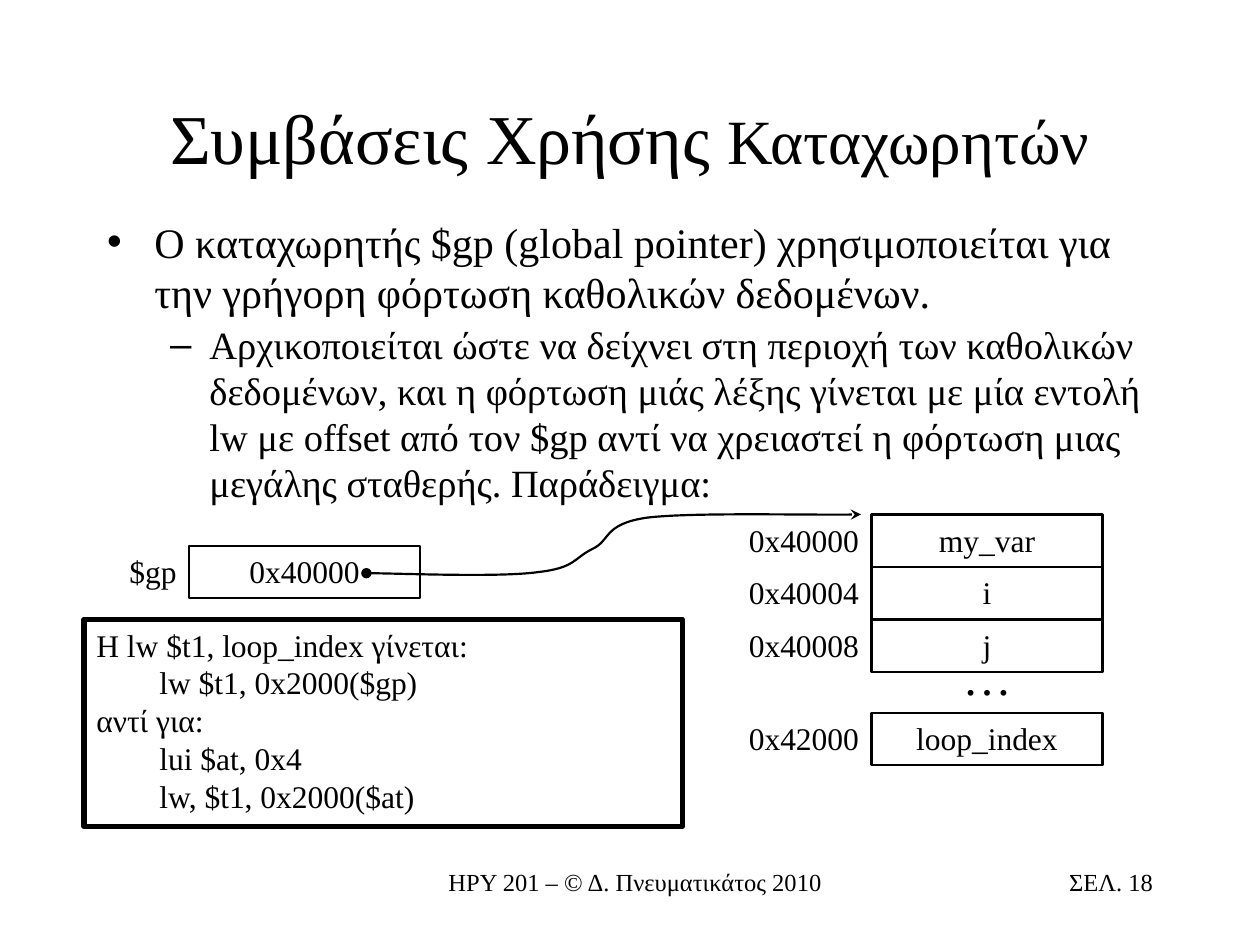
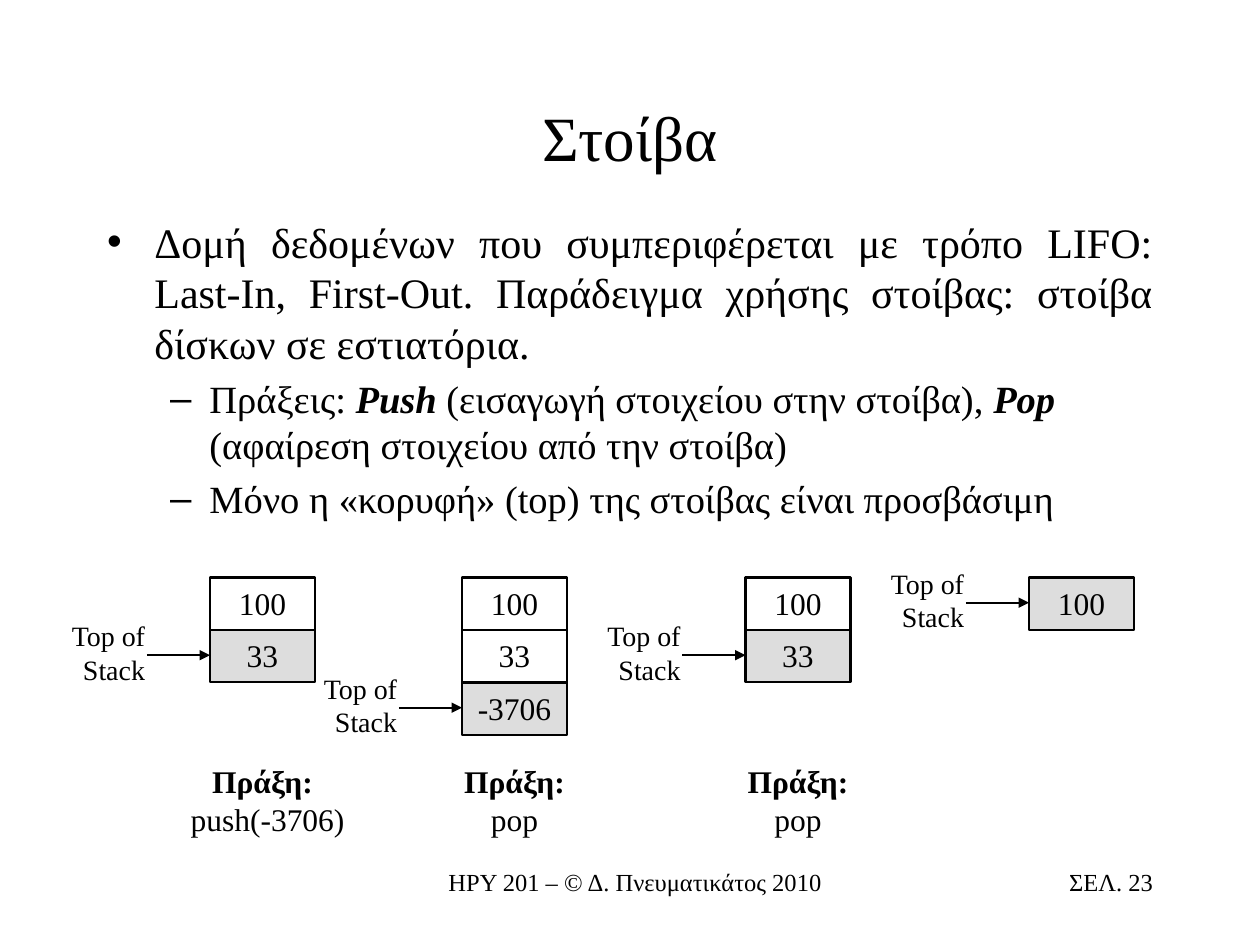
from dataclasses import dataclass, field
from typing import Any

from pptx import Presentation
from pptx.dml.color import RGBColor
from pptx.enum.shapes import MSO_CONNECTOR, MSO_SHAPE
from pptx.enum.text import MSO_ANCHOR, MSO_AUTO_SIZE, PP_ALIGN
from pptx.oxml.ns import qn
from pptx.oxml.xmlchemy import OxmlElement
from pptx.util import Inches, Pt

LEFT, CENTER, RIGHT, JUSTIFY = PP_ALIGN.LEFT, PP_ALIGN.CENTER, PP_ALIGN.RIGHT, PP_ALIGN.JUSTIFY
TOP, MIDDLE = MSO_ANCHOR.TOP, MSO_ANCHOR.MIDDLE
NO_FIT = MSO_AUTO_SIZE.NONE
RECTANGLE, STRAIGHT = MSO_SHAPE.RECTANGLE, MSO_CONNECTOR.STRAIGHT

FONT, BLACK, WHITE, GREY = "Times New Roman", "000000", "FFFFFF", "DDDDDD"
COLUMNS, ROWS = 120, 90
CELL_ROWS = 5
THIN, THICK = 1.25, 3
FOOTER = "ΗΡΥ 201 – © Δ. Πνευματικάτος 2010"

deck = Presentation()
deck.slide_width, deck.slide_height = Inches(10), Inches(7.5)
COLUMN, ROW = deck.slide_width / COLUMNS, deck.slide_height / ROWS


@dataclass
class Span:
    text: str
    size: float = 18
    bold: bool = False
    italic: bool = False


@dataclass
class Para:
    spans: list[Span]
    formats: dict[str, Any] = field(default_factory=dict)


@dataclass
class Area:
    column: float
    row: float
    columns: float
    rows: float

    def lengths(self) -> list[int]:
        return [round(self.column * COLUMN), round(self.row * ROW),
                round(self.columns * COLUMN), round(self.rows * ROW)]


@dataclass
class Stack:
    column: float
    values: list[str]
    operation: str = ""
    alignment: PP_ALIGN = CENTER


@dataclass
class Word:
    row: float
    address: str
    name: str


def color(code: str) -> RGBColor:
    return RGBColor.from_string(code)


def apply(target: Any, formats: dict[str, Any]) -> None:
    for name, value in formats.items():
        setattr(target, name, value)


def line_of(text: str, alignment: PP_ALIGN = LEFT, size: float = 18, bold: bool = False) -> Para:
    return Para([Span(text, size, bold)], {"alignment": alignment})


def write(box: Any, paras: list[Para], anchor: MSO_ANCHOR = TOP) -> None:
    frame = box.text_frame
    apply(frame, {"word_wrap": True, "auto_size": NO_FIT, "vertical_anchor": anchor})
    for index, para in enumerate(paras):
        line = frame.add_paragraph() if index else frame.paragraphs[0]
        apply(line, para.formats)
        for span in para.spans:
            run = line.add_run()
            run.text = span.text
            apply(run.font, {"name": FONT, "size": Pt(span.size),
                             "bold": span.bold, "italic": span.italic})
            run.font.color.rgb = color(BLACK)


def add_label(page: Any, area: Area, paras: list[Para]) -> None:
    write(page.shapes.add_textbox(*area.lengths()), paras)


def draw_line(shape: Any, width: float) -> None:
    shape.line.color.rgb = color(BLACK)
    shape.line.width = Pt(width)


def add_box(page: Any, area: Area, paras: list[Para], fill: str = "", width: float = THIN) -> None:
    box = page.shapes.add_shape(RECTANGLE, *area.lengths())
    box.shadow.inherit = False
    if fill:
        box.fill.solid()
        box.fill.fore_color.rgb = color(fill)
    else:
        box.fill.background()
    draw_line(box, width)
    write(box, paras)


def add_ends(shape: Any, **ends: str) -> None:
    outline = shape.element.spPr.find(qn("a:ln"))
    for end, kind in ends.items():
        mark = OxmlElement(f"a:{end}")
        mark.set("type", kind)
        outline.append(mark)


def add_arrow(page: Any, start: float, stop: float, row: float) -> None:
    height = round(row * ROW)
    arrow = page.shapes.add_connector(
        STRAIGHT, round(start * COLUMN), height, round(stop * COLUMN), height)
    draw_line(arrow, THIN)
    add_ends(arrow, tailEnd="triangle")
    arrow.element.spPr.append(OxmlElement("a:effectLst"))


def add_curve(page: Any, points: list[tuple[float, float]]) -> None:
    start, *controls = [(round(column * COLUMN), round(row * ROW)) for column, row in points]
    builder = page.shapes.build_freeform(*start)
    builder.add_line_segments(controls, close=False)
    curve = builder.convert_to_shape()
    segments = list(curve.element.iter(qn("a:lnTo")))
    for index in range(0, len(segments), 3):
        bend = OxmlElement("a:cubicBezTo")
        segments[index].addprevious(bend)
        for segment in segments[index:index + 3]:
            bend.append(segment[0])
            segment.getparent().remove(segment)
    curve.shadow.inherit = False
    curve.fill.background()
    draw_line(curve, THIN)
    add_ends(curve, headEnd="oval", tailEnd="stealth")


def add_page(title: list[Span], body: list[Para], body_rows: float, number: int) -> Any:
    page = deck.slides.add_slide(deck.slide_layouts[1])
    page.background.fill.solid()
    page.background.fill.fore_color.rgb = color(WHITE)
    heading, content = page.placeholders
    for holder, area in ((heading, Area(9, 8, 102, 10)), (content, Area(9, 20, 102, body_rows))):
        apply(holder, dict(zip(("left", "top", "width", "height"), area.lengths())))
    write(heading, [Para(title, {"alignment": CENTER})], MIDDLE)
    write(content, body)
    add_label(page, Area(36, 82, 49, 6), [line_of(FOOTER, CENTER, 14)])
    add_label(page, Area(86, 82, 25, 6), [line_of(f"ΣΕΛ. {number}", RIGHT, 14)])
    return page


def add_word(page: Any, column: float, word: Word) -> None:
    add_label(page, Area(column - 14, word.row, 14, CELL_ROWS), [line_of(word.address, RIGHT)])
    add_box(page, Area(column, word.row, 22, CELL_ROWS), [line_of(word.name, CENTER)])


def add_stack(page: Any, stack: Stack) -> None:
    top = 55 + CELL_ROWS * (len(stack.values) - 1)
    for index, value in enumerate(stack.values):
        row = 55 + CELL_ROWS * index
        add_box(page, Area(stack.column, row, 10, CELL_ROWS), [line_of(value, CENTER)],
                GREY if row == top else "")
    add_label(page, Area(stack.column - 17, top - 1.65, 12, 7.7),
              [line_of("Top of Stack", RIGHT, 16)])
    add_arrow(page, stack.column - 6, stack.column, top + 2.4)
    if stack.operation:
        add_label(page, Area(stack.column - 4, 72, 18, 8.4),
                  [line_of("Πράξη:", CENTER, bold=True), line_of(stack.operation, stack.alignment)])


def build_registers() -> None:
    page = add_page(
        [Span("Συμβάσεις Χρήσης ", 40), Span("Καταχωρητών", 36)],
        [Para([Span("Ο καταχωρητής $gp (global pointer) χρησιμοποιείται για την γρήγορη "
                    "φόρτωση καθολικών δεδομένων.", 24)], {"space_before": Pt(2.4)}),
         Para([Span("Αρχικοποιείται ώστε να δείχνει στη περιοχή των καθολικών δεδομένων, "
                    "και η φόρτωση μιάς λέξης γίνεται με μία εντολή lw με offset από τον $gp "
                    "αντί να χρειαστεί η φόρτωση μιας μεγάλης σταθερής. Παράδειγμα:", 22)],
              {"level": 1, "space_before": Pt(2.2)})],
        29, 18)
    for word in (Word(49, "0x40000", "my_var"), Word(54, "0x40004", "i"),
                 Word(59, "0x40008", "j"), Word(67.9, "0x42000", "loop_index")):
        add_word(page, 83, word)
    add_label(page, Area(87, 61, 14, 6.8), [line_of("…", CENTER, 28)])
    add_word(page, 18, Word(52, "$gp", "0x40000"))
    add_curve(page, [(34.9, 54.6),
                     (37.7, 54.6), (47.6, 55), (51.2, 54.5),
                     (54.8, 54.1), (54.6, 53.2), (56.4, 52.3),
                     (58.2, 51.5), (57.4, 49.9), (61.7, 49.3),
                     (66, 48.8), (77.8, 49.1), (82, 49)])
    code = ("Η lw $t1, loop_index γίνεται:", "\tlw $t1, 0x2000($gp)", "αντί για:",
            "\tlui $at, 0x4", "\tlw, $t1, 0x2000($at)")
    add_box(page, Area(8, 59, 57, 19.7), [line_of(text) for text in code], width=THICK)


def build_stacks() -> None:
    page = add_page(
        [Span("Στοίβα", 36)],
        [Para([Span("Δομή δεδομένων που συμπεριφέρεται με τρόπο LIFO: Last-In, First-Out. "
                    "Παράδειγμα χρήσης στοίβας: στοίβα δίσκων σε εστιατόρια.", 24)],
              {"alignment": JUSTIFY}),
         Para([Span("Πράξεις: ", 22), Span("Push", 22, True, True),
               Span(" (εισαγωγή στοιχείου στην στοίβα), ", 22), Span("Pop", 22, True, True),
               Span(" (αφαίρεση στοιχείου από την στοίβα)", 22)], {"level": 1}),
         Para([Span("Μόνο η «κορυφή» (top) της στοίβας είναι προσβάσιμη", 22)], {"level": 1})],
        60, 23)
    for stack in (Stack(20, ["100", "33"], "push(-3706)", RIGHT),
                  Stack(44, ["100", "33", "-3706"], "pop"),
                  Stack(71, ["100", "33"], "pop"),
                  Stack(98, ["100"])):
        add_stack(page, stack)


build_registers()
build_stacks()
deck.save("out.pptx")
